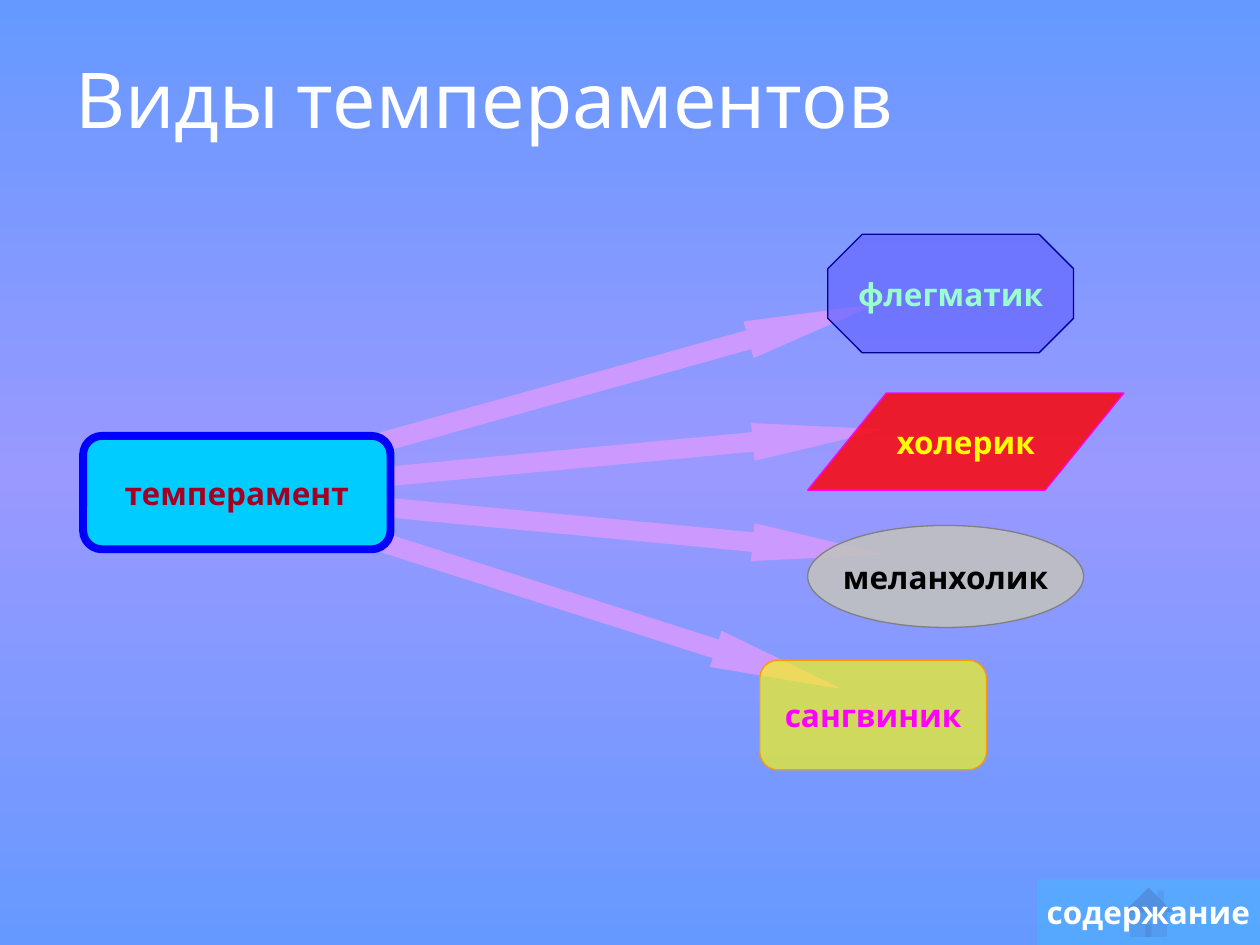
from copy import deepcopy

from lxml.etree import SubElement
from pptx import Presentation
from pptx.dml.color import RGBColor
from pptx.enum.shapes import MSO_SHAPE
from pptx.enum.text import MSO_ANCHOR, PP_ALIGN
from pptx.oxml.ns import qn
from pptx.util import Inches, Pt

FONT = "Cabin"
C = {
    "sky": "6699FF", "lilac": "9999FF", "arrow": "CC99FF", "white": "FFFFFF",
    "cyan": "00CCFF", "blue": "0000FF", "wine": "A50021",
    "violet": "6666FF", "navy": "000099", "mint": "99FFCC",
    "red": "FF0000", "magenta": "FF00FF", "yellow": "FFFF00",
    "silver": "C0C0C0", "gray": "808080", "black": "000000",
    "orange": "FF9900", "button": "33CCFF",
}
ARROWS = [
    (2.23, 1.60, -5.4),
    (2.23, 2.20, 5.4),
    (1.98, 2.83, 17.7),
    (2.23, 0.97, -15.6),
]
NODES = [
    ("темперамент", MSO_SHAPE.ROUNDED_RECTANGLE, (0, 1.6, 2.44, 0.9), 0.167,
     "cyan", 100, "blue", 4.5, "wine"),
    ("флегматик", MSO_SHAPE.OCTAGON, (5.91, 0, 1.95, 0.94), 0.29,
     "violet", 70, "navy", 0.75, "mint"),
    ("меланхолик", MSO_SHAPE.OVAL, (5.75, 2.31, 2.19, 0.81), None,
     "silver", 90, "gray", 0.75, "black"),
    ("холерик", MSO_SHAPE.PARALLELOGRAM, (5.75, 1.26, 2.51, 0.77), 0.81,
     "red", 82, "magenta", 0.75, "yellow"),
    ("сангвиник", MSO_SHAPE.ROUNDED_RECTANGLE, (5.37, 3.38, 1.8, 0.87), 0.167,
     "yellow", 63, "orange", 0.75, "magenta"),
]


def rgb(name):
    return RGBColor.from_string(C[name])


def add_run(tf, text, size, color, bold=False):
    r = tf.paragraphs[0].add_run()
    r.text = text
    r.font.name = FONT
    r.font.size = Pt(size)
    r.font.bold = bold
    r.font.color.rgb = rgb(color)


def add_label(sp, text, color):
    tf = sp.text_frame
    tf.word_wrap = False
    tf.vertical_anchor = MSO_ANCHOR.MIDDLE
    tf.paragraphs[0].alignment = PP_ALIGN.CENTER
    add_run(tf, text, 18, color, True)


def add_figure(s, kind, box, fill, opacity=100, line=None, width=0.75):
    sp = s.shapes.add_shape(kind, *map(Inches, box))
    sp.shadow.inherit = False
    sp.fill.solid()
    sp.fill.fore_color.rgb = rgb(fill)
    if opacity < 100:
        clr = sp.fill._xPr.find(qn("a:solidFill"))[0]
        SubElement(clr, qn("a:alpha"), val=str(opacity * 1000))
    if line:
        sp.line.color.rgb = rgb(line)
        sp.line.width = Pt(width)
    else:
        sp.line.fill.background()
    return sp


def set_background(s):
    fill = s.background.fill
    fill.gradient()
    fill.gradient_angle = 270
    stops = fill.gradient_stops
    gs_lst = stops[0]._gs.getparent()
    gs_lst.insert(1, deepcopy(gs_lst[0]))
    for stop, pos, color in zip(fill.gradient_stops, (0, 0.5, 1), ("sky", "lilac", "sky")):
        stop.position = pos
        stop.color.rgb = rgb(color)


def add_title(s, box):
    tf = s.shapes.add_textbox(*map(Inches, box)).text_frame
    tf.word_wrap = True
    tf.vertical_anchor = MSO_ANCHOR.MIDDLE
    add_run(tf, "Виды темпераментов", 44, "white")


def add_diagram(s, left, top):
    for x, y, angle in ARROWS:
        sp = add_figure(s, MSO_SHAPE.RIGHT_ARROW, (left + x, top + y, 4.11, 0.29),
                        "arrow", line="arrow")
        sp.adjustments[0] = 0.5
        sp.adjustments[1] = 3.5
        sp.rotation = angle
    for text, kind, (x, y, w, h), adj, fill, opacity, line, width, color in NODES:
        sp = add_figure(s, kind, (left + x, top + y, w, h), fill, opacity, line, width)
        if adj is not None:
            sp.adjustments[0] = adj
        add_label(sp, text, color)


def add_contents_button(s, box):
    sp = add_figure(s, MSO_SHAPE.ACTION_BUTTON_HOME, box, "button", 30)
    add_label(sp, "содержание", "white")


def main():
    prs = Presentation()
    prs.slide_width, prs.slide_height = Inches(10), Inches(7.5)
    s = prs.slides.add_slide(prs.slide_layouts[6])
    set_background(s)
    add_title(s, (0.5, 0.32, 9, 0.91))
    add_diagram(s, 0.66, 1.86)
    add_contents_button(s, (8.23, 6.98, 1.77, 0.52))
    prs.save("out.pptx")


if __name__ == "__main__":
    main()
